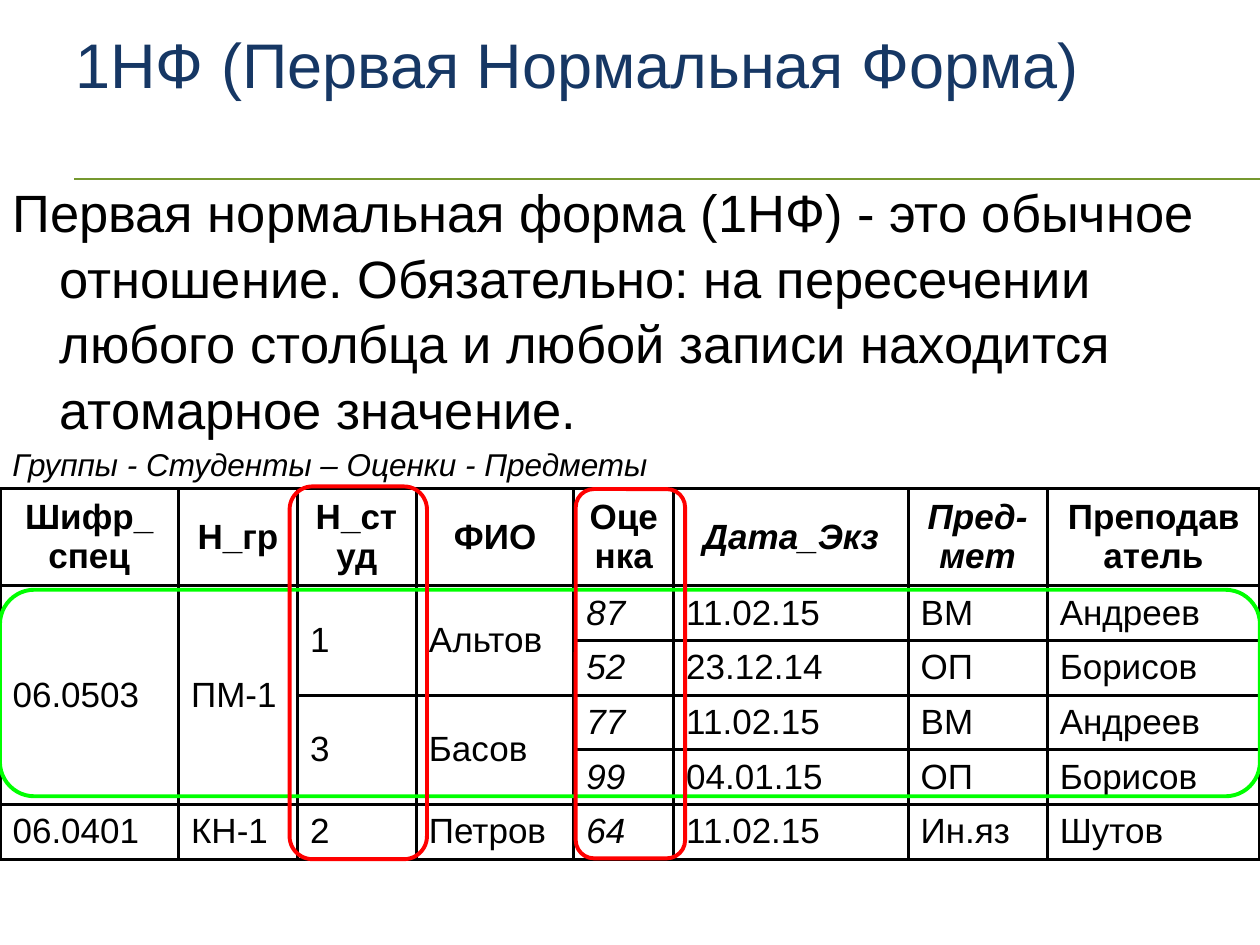
from dataclasses import dataclass
import lxml.etree
import pptx
import pptx.dml.color
import pptx.enum.shapes
import pptx.enum.text
import pptx.oxml.ns
import pptx.util

Pt = pptx.util.Pt
RGBColor = pptx.dml.color.RGBColor
qn = pptx.oxml.ns.qn
MIDDLE = pptx.enum.text.MSO_ANCHOR.MIDDLE
TOP = pptx.enum.text.MSO_ANCHOR.TOP

BLACK = RGBColor(0x00, 0x00, 0x00)
WHITE = RGBColor(0xFF, 0xFF, 0xFF)
NAVY = RGBColor(0x16, 0x37, 0x64)
OLIVE = RGBColor(0x75, 0x98, 0x2F)
GREEN = RGBColor(0x00, 0xFF, 0x00)
RED = RGBColor(0xFF, 0x00, 0x00)


@dataclass
class Text:
    text: str
    left: float
    top: float
    width: float
    height: float
    size: float
    color: RGBColor = BLACK
    italic: bool = False
    hanging: float = 0
    spacing: float = 1
    anchor: pptx.enum.text.MSO_ANCHOR = TOP


@dataclass
class Frame:
    left: float
    top: float
    width: float
    height: float
    color: RGBColor


TEXTS = [
    Text("Первая нормальная форма (1НФ) - это обычное отношение. Обязательно: "
         "на пересечении любого столбца и любой записи находится атомарное значение.",
         0, 98, 720, 152.5, 30, hanging=27, spacing=1.04),
    Text("1НФ (Первая Нормальная Форма)", 36, 21.5, 648, 29.5, 36, NAVY, anchor=MIDDLE),
    Text("Группы - Студенты – Оценки - Предметы", 0, 250.5, 456.5, 29, 18, italic=True),
]
FRAMES = [
    Frame(0, 337, 720, 118, GREEN),
    Frame(165.5, 278, 78.5, 213, RED),
    Frame(329, 279.5, 62.5, 211, RED),
]
COLUMNS = [102, 68, 68, 90, 57, 134, 79.5, 121.5]
HEADER_HEIGHT, ROW_HEIGHT = 55.5, 31.2
GRADE, EXAM_DATE, SUBJECT = 4, 5, 6
ROWS = [
    ["Шифр_\nспец", "Н_гр", "Н_студ", "ФИО", "Оценка", "Дата_Экз", "Пред-мет", "Преподаватель"],
    ["06.0503", "ПМ-1", "1", "Альтов", "87", "11.02.15", "ВМ", "Андреев"],
    [None, None, None, None, "52", "23.12.14", "ОП", "Борисов"],
    [None, None, "3", "Басов", "77", "11.02.15", "ВМ", "Андреев"],
    [None, None, None, None, "99", "04.01.15", "ОП", "Борисов"],
    ["06.0401", "КН-1", "2", "Петров", "64", "11.02.15", "Ин.яз", "Шутов"],
]


def add_run(p, text: str, size: float, color: RGBColor, bold: bool, italic: bool) -> None:
    """Append one formatted Arial run to a paragraph."""
    r = p.add_run()
    r.text = text
    r.font.name = "Arial"
    r.font.size = Pt(size)
    r.font.color.rgb = color
    r.font.bold = bold
    r.font.italic = italic


def add_text(slide, item: Text) -> None:
    """Draw a wrapped text box with one paragraph."""
    sp = slide.shapes.add_textbox(Pt(item.left), Pt(item.top), Pt(item.width), Pt(item.height))
    tf = sp.text_frame
    tf.word_wrap = True
    tf.vertical_anchor = item.anchor
    p = tf.paragraphs[0]
    p.line_spacing = item.spacing
    if item.hanging:
        pPr = p._p.get_or_add_pPr()
        pPr.set("marL", str(Pt(item.hanging)))
        pPr.set("indent", str(-Pt(item.hanging)))
    add_run(p, item.text, item.size, item.color, False, item.italic)


def add_rule(slide) -> None:
    """Draw the line under the title."""
    line = slide.shapes.add_connector(
        pptx.enum.shapes.MSO_CONNECTOR.STRAIGHT, Pt(42.5), Pt(102.25), Pt(726.5), Pt(102.25))
    line.line.color.rgb = OLIVE
    line.line.width = Pt(1)
    lxml.etree.SubElement(line._element.spPr, qn("a:effectLst"))


def add_frame(slide, frame: Frame) -> None:
    """Draw an unfilled rounded outline."""
    sp = slide.shapes.add_shape(
        pptx.enum.shapes.MSO_SHAPE.ROUNDED_RECTANGLE,
        Pt(frame.left), Pt(frame.top), Pt(frame.width), Pt(frame.height))
    sp.shadow.inherit = False
    sp.fill.background()
    sp.line.color.rgb = frame.color
    sp.line.width = Pt(2.25)


def style_cell(cell) -> None:
    """Give a cell a white fill and black borders on all sides."""
    cell.vertical_anchor = MIDDLE
    tcPr = cell._tc.get_or_add_tcPr()
    for side in ("lnL", "lnR", "lnT", "lnB"):
        ln = lxml.etree.SubElement(tcPr, qn(f"a:{side}"), w=str(Pt(2)))
        fill = lxml.etree.SubElement(ln, qn("a:solidFill"))
        lxml.etree.SubElement(fill, qn("a:srgbClr"), val=str(BLACK))
    cell.fill.solid()
    cell.fill.fore_color.rgb = WHITE


def fill_cell(cell, text: str, row: int, col: int) -> None:
    """Write the text of a header or body cell."""
    header = row == 0
    italic = col in (EXAM_DATE, SUBJECT) if header else col == GRADE
    p = cell.text_frame.paragraphs[0]
    if header:
        p.alignment = pptx.enum.text.PP_ALIGN.CENTER
    for i, part in enumerate(text.split("\n")):
        if i:
            p.add_line_break()
        add_run(p, part, 20, BLACK, header, italic)


def add_grades(slide) -> None:
    """Draw the table, merging each cell with the empty ones below it."""
    height = HEADER_HEIGHT + ROW_HEIGHT * (len(ROWS) - 1)
    table = slide.shapes.add_table(
        len(ROWS), len(COLUMNS), Pt(0), Pt(279.25), Pt(sum(COLUMNS)), Pt(height)).table
    table.first_row = False
    table.horz_banding = False
    for column, width in zip(table.columns, COLUMNS):
        column.width = Pt(width)
    for i, row in enumerate(table.rows):
        row.height = Pt(ROW_HEIGHT if i else HEADER_HEIGHT)
    for i, values in enumerate(ROWS):
        for j, value in enumerate(values):
            cell = table.cell(i, j)
            style_cell(cell)
            if value is None:
                continue
            fill_cell(cell, value, i, j)
            last = i
            while last + 1 < len(ROWS) and ROWS[last + 1][j] is None:
                last += 1
            if last > i:
                cell.merge(table.cell(last, j))


def main() -> None:
    """Build the slide and save it."""
    prs = pptx.Presentation()
    prs.slide_width, prs.slide_height = Pt(720), Pt(540)
    slide = prs.slides.add_slide(prs.slide_layouts[6])
    add_rule(slide)
    for item in TEXTS:
        add_text(slide, item)
    add_grades(slide)
    for frame in FRAMES:
        add_frame(slide, frame)
    prs.save("out.pptx")


if __name__ == "__main__":
    main()
